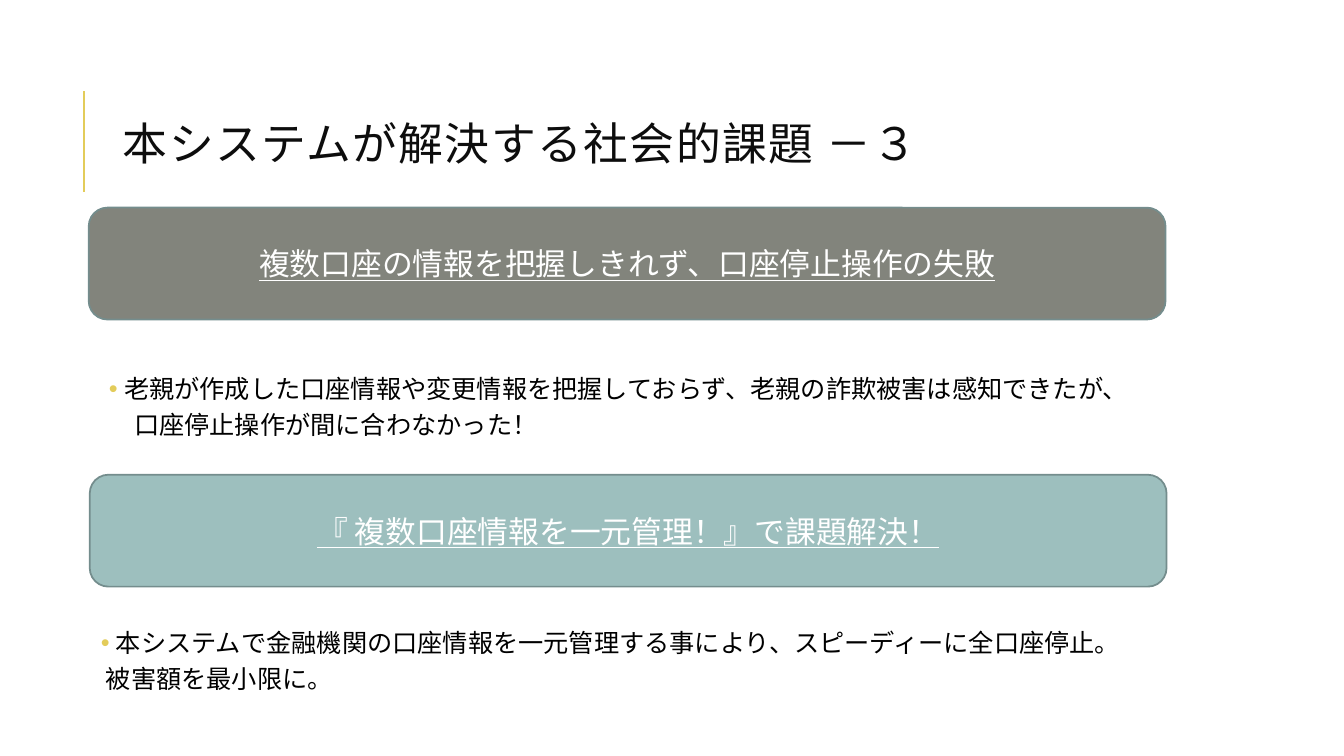
from lxml.etree import SubElement
from pptx import Presentation
from pptx.dml.color import RGBColor
from pptx.enum.shapes import MSO_CONNECTOR, MSO_SHAPE
from pptx.enum.text import MSO_ANCHOR, PP_ALIGN
from pptx.oxml.ns import qn
from pptx.util import Inches, Pt

COLORS = {
    "accent": "E3CC5A",
    "title": "0D0D0D",
    "body": "000000",
    "light": "FFFFFF",
    "problem": "82847C",
    "solution": "9DBFBE",
    "outline": "748D8D",
}
BANNER_SIZE = (10.68, 1.11)


def color(name):
    return RGBColor.from_string(COLORS[name])


def set_font(para, name, size, color_name):
    para.font.name = name
    para.font.size = Pt(size)
    para.font.color.rgb = color(color_name)


def add_text_frame(page, box):
    frame = page.shapes.add_textbox(*map(Inches, box)).text_frame
    frame.word_wrap = True
    return frame


def add_title(page, box, text):
    left, top, width, height = box
    rule_x = Inches(left - 0.29)
    middle = top + height / 2 - 0.06
    rule = page.shapes.add_connector(
        MSO_CONNECTOR.STRAIGHT, rule_x, Inches(middle + 0.5), rule_x, Inches(middle - 0.5))
    rule.line.color.rgb = color("accent")
    rule.line.width = Pt(1.5)
    SubElement(rule.element.spPr, qn("a:effectLst"))

    frame = add_text_frame(page, box)
    frame.vertical_anchor = MSO_ANCHOR.MIDDLE
    para = frame.paragraphs[0]
    para.line_spacing = 0.8
    set_font(para, "Calibri", 32, "title")
    span = para.add_run()
    span.text = text
    span.font.element.set("spc", "100") if hasattr(span.font, "element") else \
        span._r.get_or_add_rPr().set("spc", "100")


def add_banner(page, box, text, fill):
    banner = page.shapes.add_shape(MSO_SHAPE.ROUNDED_RECTANGLE, *map(Inches, box))
    banner.shadow.inherit = False
    banner.fill.solid()
    banner.fill.fore_color.rgb = color(fill)
    banner.line.color.rgb = color("outline")
    banner.line.width = Pt(1.25)
    frame = banner.text_frame
    frame.vertical_anchor = MSO_ANCHOR.MIDDLE
    para = frame.paragraphs[0]
    para.alignment = PP_ALIGN.CENTER
    set_font(para, "Cabin", 22, "light")
    span = para.add_run()
    span.text = text
    span.font.underline = True


def set_indent(para, margin, hanging=0):
    properties = para._p.get_or_add_pPr()
    properties.set("marL", str(Inches(margin)))
    properties.set("indent", str(-Inches(hanging)))
    return properties


def add_bullet(para):
    properties = set_indent(para, 0.29, 0.15)
    bullet_color = SubElement(properties, qn("a:buClr"))
    SubElement(bullet_color, qn("a:srgbClr")).set("val", COLORS["accent"])
    SubElement(properties, qn("a:buFont")).set("typeface", "Arial")
    SubElement(properties, qn("a:buChar")).set("char", "•")


def add_explanation(page, box, lead, follow, follow_margin):
    """Place a bulleted lead line with an unbulleted line below it."""
    frame = add_text_frame(page, box)
    frame.margin_left = frame.margin_right = Inches(0.05)
    frame.margin_top = frame.margin_bottom = Inches(0.05)
    lead_para, follow_para = frame.paragraphs[0], frame.add_paragraph()
    for para, text in ((lead_para, lead), (follow_para, follow)):
        para.text = text
        para.line_spacing = 0.9
        para.space_before = Pt(2)
        para.space_after = Pt(4)
    add_bullet(lead_para)
    set_indent(follow_para, follow_margin)
    for para in frame.paragraphs:
        set_font(para, "Cabin", 18, "body")


def main():
    deck = Presentation()
    deck.slide_width, deck.slide_height = Inches(13.33), Inches(7.5)
    page = deck.slides.add_slide(deck.slide_layouts[6])

    add_title(page, (1.12, 0.64, 10.63, 1.64), "本システムが解決する社会的課題 －３")
    add_explanation(
        page, (0.89, 3.69, 11.81, 1.37),
        "老親が作成した口座情報や変更情報を把握しておらず、老親の詐欺被害は感知できたが、",
        "口座停止操作が間に合わなかった！", 0.39)
    add_banner(page, (0.88, 2.06, *BANNER_SIZE),
               "複数口座の情報を把握しきれず、口座停止操作の失敗", "problem")
    add_explanation(
        page, (0.81, 6.21, 11.81, 1.26),
        "本システムで金融機関の口座情報を一元管理する事により、スピーディーに全口座停止。",
        "被害額を最小限に。", 0.19)
    add_banner(page, (0.89, 4.71, *BANNER_SIZE),
               "『 複数口座情報を一元管理！』で課題解決！", "solution")
    deck.save("out.pptx")


if __name__ == "__main__":
    main()
